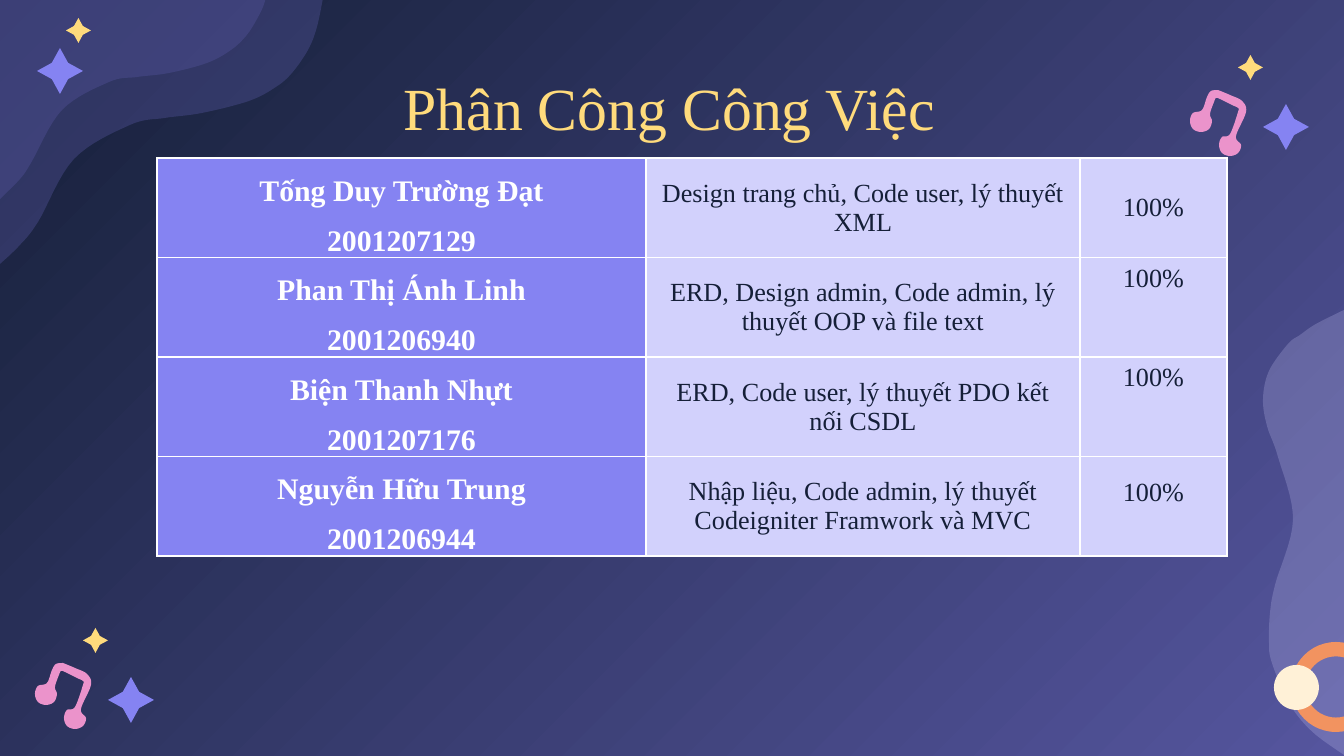
"""Build the task assignment slide with its table, waves, stars and music notes."""
import pptx
import pptx.dml.color
import pptx.enum.shapes
import pptx.enum.text
import pptx.oxml
import pptx.oxml.ns
import pptx.util
from lxml import etree

PX = 914400 / 134.4
FONT = "Times New Roman"
NAVY, INDIGO, VIOLET, LILAC = "151F38", "55559E", "8583F2", "D2D1FC"
YELLOW, PINK, ORANGE, CREAM, WHITE = "FFDB7C", "EB93CB", "F29360", "FFF1D7", "FFFFFF"


def paint(fill, color, opacity=100):
    fill.solid()
    fill.fore_color.rgb = pptx.dml.color.RGBColor.from_string(color)
    if opacity < 100:
        tint = fill._xPr.find(".//" + pptx.oxml.ns.qn("a:srgbClr"))
        etree.SubElement(tint, pptx.oxml.ns.qn("a:alpha"), val=str(opacity * 1000))


def draw_curve(page, knots, corners, color, opacity=100):
    """Fill a smooth curve through the knots, closed by straight corners."""
    points = []
    for i in range(len(knots) - 1):
        a, b, c, d = (knots[max(0, min(k, len(knots) - 1))] for k in range(i - 1, i + 3))
        for step in range(8):
            t = step / 8
            points.append([
                (2 * q + (r - p) * t + (2 * p - 5 * q + 4 * r - s) * t ** 2
                 + (3 * q - p - 3 * r + s) * t ** 3) / 2
                for p, q, r, s in zip(a, b, c, d)
            ])
    points = [(x * PX, y * PX) for x, y in points + [knots[-1]] + corners]
    builder = page.shapes.build_freeform(*points[0])
    builder.add_line_segments(points[1:], close=True)
    shape = builder.convert_to_shape()
    shape.shadow.inherit = False
    shape.line.fill.background()
    paint(shape.fill, color, opacity)


deck = pptx.Presentation()
deck.slide_width, deck.slide_height = int(1344 * PX), int(756 * PX)
page = deck.slides.add_slide(deck.slide_layouts[5])

backdrop = page.background.fill
backdrop.gradient()
for stop, color in zip(backdrop.gradient_stops, (INDIGO, NAVY)):
    stop.color.rgb = pptx.dml.color.RGBColor.from_string(color)
linear = page.element.find(".//" + pptx.oxml.ns.qn("a:lin"))
radial = pptx.oxml.parse_xml(
    f'<a:path {pptx.oxml.ns.nsdecls("a")} path="circle">'
    '<a:fillToRect l="100000" t="100000"/></a:path>'
)
linear.getparent().replace(linear, radial)

inner_wave = [
    (0, 199), (20, 179), (31, 163), (62, 110), (109, 82), (137, 77), (169, 73),
    (207, 63), (231, 50), (246, 36), (257, 19), (265, 1), (270, -27),
]
outer_wave = [
    (0, 264), (19, 246), (38, 222), (74, 159), (130, 125), (165, 118), (202, 113),
    (249, 101), (276, 87), (292, 73), (308, 50), (317, 27), (324, -7),
]
right_wave = [
    (1344, 310), (1316, 324), (1300, 335), (1288, 344), (1269, 371), (1263, 399),
    (1267, 426), (1278, 457), (1293, 520), (1275, 585), (1270, 613), (1269, 641),
    (1271, 660), (1284, 693), (1297, 715), (1316, 735), (1344, 755),
]
draw_curve(page, inner_wave, [(0, -27)], INDIGO, 38)
draw_curve(page, outer_wave, [(0, -7)], INDIGO, 38)
draw_curve(page, right_wave, [], LILAC, 22)

note = [
    (28, 0), (40, 5), (52, 11), (56, 22), (46, 46), (51, 55), (48, 63), (40, 66),
    (32, 63), (29, 55), (32, 47), (40, 44), (48, 22), (48, 18), (42, 15), (30, 9),
    (26, 8), (24, 12), (20, 24), (22, 31), (19, 39), (11, 42), (3, 39), (0, 31),
    (3, 23), (12, 20), (17, 7), (21, 1), (28, 0),
]
for left, top in [(35, 663), (1190, 90)]:
    draw_curve(page, [(left + x, top + y) for x, y in note], [], PINK)

presets = pptx.enum.shapes.MSO_SHAPE
ornaments = [
    (presets.STAR_4_POINT, 1263, 104, 46, VIOLET, 0.25),
    (presets.STAR_4_POINT, 1238, 55, 25, YELLOW, 0.25),
    (presets.STAR_4_POINT, 108, 677, 46, VIOLET, 0.25),
    (presets.STAR_4_POINT, 83, 628, 25, YELLOW, 0.25),
    (presets.STAR_4_POINT, 37, 48, 46, VIOLET, 0.25),
    (presets.STAR_4_POINT, 66, 18, 25, YELLOW, 0.25),
    (presets.DONUT, 1291, 642, 90, ORANGE, 0.16),
    (presets.OVAL, 1274, 665, 45, CREAM, None),
]
for preset, left, top, size, color, adjustment in ornaments:
    ornament = page.shapes.add_shape(
        preset, int(left * PX), int(top * PX), int(size * PX), int(size * PX)
    )
    ornament.shadow.inherit = False
    ornament.line.fill.background()
    paint(ornament.fill, color)
    if adjustment is not None:
        ornament.adjustments[0] = adjustment

title = page.shapes.title
title.left, title.top, title.width, title.height = (int(v * PX) for v in (103, 51, 1133, 85))
frame = title.text_frame
frame.text = "Phân Công Công Việc"
frame.auto_size = pptx.enum.text.MSO_AUTO_SIZE.NONE
frame.vertical_anchor = pptx.enum.text.MSO_ANCHOR.TOP
frame.margin_top = int(20 * PX)
para = frame.paragraphs[0]
para.alignment = pptx.enum.text.PP_ALIGN.CENTER
para.font.name, para.font.size = FONT, pptx.util.Pt(32)
paint(para.font.fill, YELLOW)

rows = [
    ("Tống Duy Trường Đạt\n2001207129", "Design trang chủ, Code user, lý thuyết XML", "100%"),
    ("Phan Thị Ánh Linh\n2001206940",
     "ERD, Design admin, Code admin, lý thuyết OOP và file text", "100%"),
    ("Biện Thanh Nhựt\n2001207176", "ERD, Code user, lý thuyết PDO kết nối CSDL", "100%"),
    ("Nguyễn Hữu Trung\n2001206944",
     "Nhập liệu, Code admin, lý thuyết Codeigniter Framwork và MVC", "100%"),
]
widths = [489, 434, 147]
percent_lifts = [0, 58, 58, 28]
row_height = 99
table = page.shapes.add_table(
    len(rows), len(widths), int(157 * PX), int(158 * PX),
    int(sum(widths) * PX), int(row_height * len(rows) * PX),
).table
table.first_row = table.horz_banding = False
for column, width in zip(table.columns, widths):
    column.width = int(width * PX)
for r, texts in enumerate(rows):
    table.rows[r].height = int(row_height * PX)
    for c, text in enumerate(texts):
        cell = table.cell(r, c)
        cell.text = text
        cell.vertical_anchor = pptx.enum.text.MSO_ANCHOR.MIDDLE
        cell.margin_left = cell.margin_right = int(13 * PX)
        cell.margin_top = 0
        cell.margin_bottom = int(percent_lifts[r] * PX) if c == 2 else 0
        is_name = c == 0
        paint(cell.fill, VIOLET if is_name else LILAC)
        for para in cell.text_frame.paragraphs:
            para.alignment = pptx.enum.text.PP_ALIGN.CENTER
            if is_name:
                para.line_spacing = 1.5
            elif r < len(rows) - 1:
                para.space_after = pptx.util.Pt(16)
            para.font.name = FONT
            para.font.size = pptx.util.Pt(16 if is_name else 14)
            para.font.bold = is_name
            paint(para.font.fill, WHITE if is_name else NAVY)

deck.save("out.pptx")
